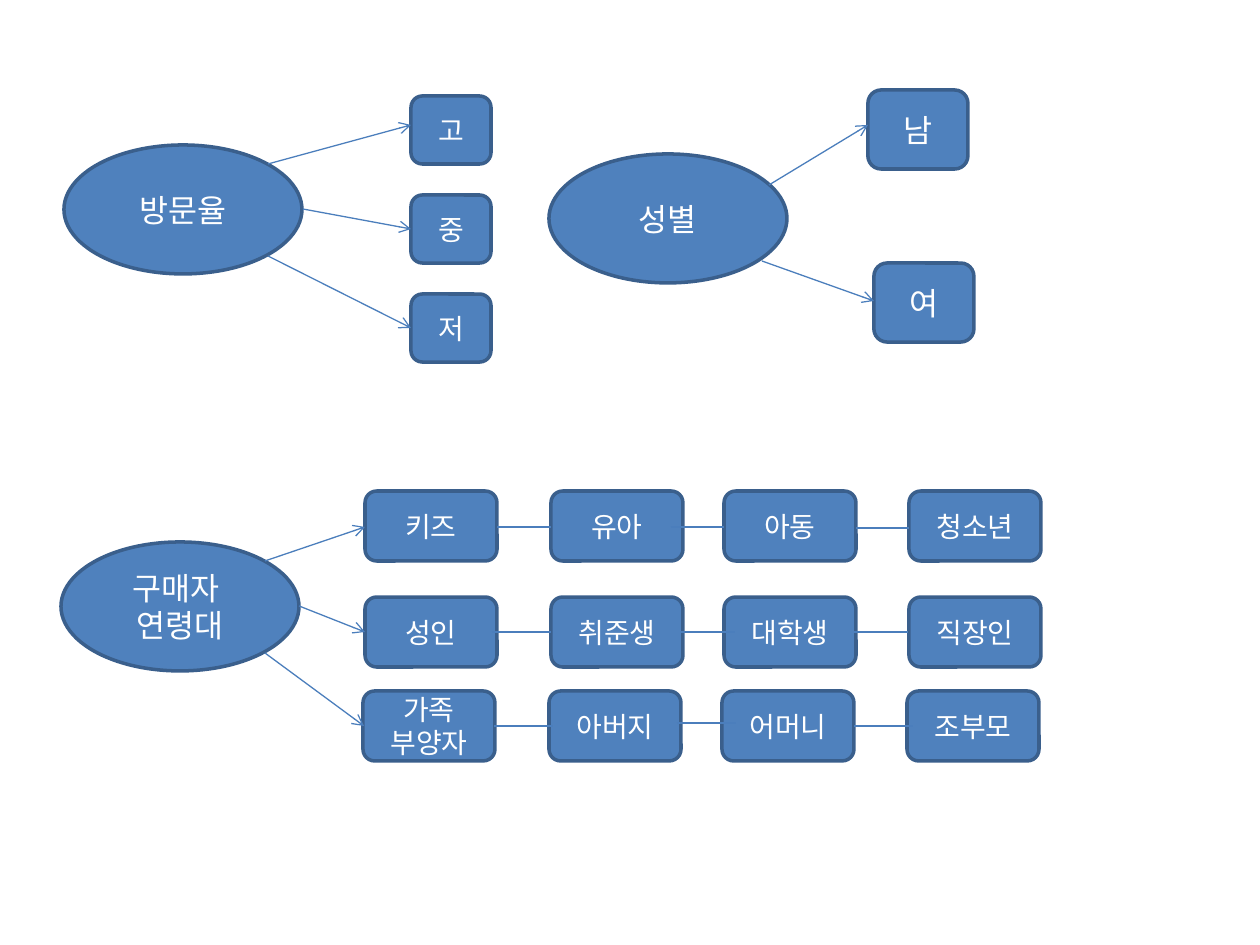
from dataclasses import dataclass
from itertools import product

from lxml.etree import SubElement
from pptx import Presentation
from pptx.dml.color import RGBColor
from pptx.enum.shapes import MSO_CONNECTOR as CONN, MSO_SHAPE as SHAPE
from pptx.enum.text import MSO_ANCHOR as ANCHOR, PP_ALIGN as ALIGN
from pptx.oxml.ns import qn
from pptx.util import Emu, Inches, Pt

SCALE = Inches(1) // 126


@dataclass(frozen=True)
class Theme:
    font: str = "Noto Sans CJK KR"
    fill: RGBColor = RGBColor(0x4F, 0x81, 0xBD)
    border: RGBColor = RGBColor(0x3A, 0x5F, 0x8C)
    link: RGBColor = RGBColor(0x4B, 0x7E, 0xBC)
    text: RGBColor = RGBColor(0xFF, 0xFF, 0xFF)
    large: int = 18
    small: int = 16
    border_width: float = 2
    link_width: float = 0.75


@dataclass(frozen=True)
class Node:
    text: str
    x: int
    y: int
    w: int
    h: int
    size: int
    kind: SHAPE = SHAPE.ROUNDED_RECTANGLE


@dataclass(frozen=True)
class Link:
    x1: int
    y1: int
    x2: int
    y2: int
    arrow: bool = False


THEME = Theme()


def px(n: int) -> Emu:
    return Emu(n * SCALE)


def topic(text: str, x: int, y: int) -> Node:
    return Node(text, x, y, 238, 129, THEME.large, SHAPE.OVAL)


def add_node(shapes, node: Node) -> None:
    s = shapes.add_shape(node.kind, px(node.x), px(node.y), px(node.w), px(node.h))
    s.shadow.inherit = False
    s.fill.solid()
    s.fill.fore_color.rgb = THEME.fill
    s.line.color.rgb = THEME.border
    s.line.width = Pt(THEME.border_width)
    tf = s.text_frame
    tf.word_wrap = True
    tf.vertical_anchor = ANCHOR.MIDDLE
    tf.text = node.text
    for p in tf.paragraphs:
        p.alignment = ALIGN.CENTER
        p.font.name = THEME.font
        p.font.size = Pt(node.size)
        p.font.color.rgb = THEME.text
        props = p._p.pPr.find(qn("a:defRPr"))
        SubElement(props, qn("a:ea"), typeface=THEME.font)


def add_link(shapes, link: Link) -> None:
    c = shapes.add_connector(
        CONN.STRAIGHT, px(link.x1), px(link.y1), px(link.x2), px(link.y2)
    )
    c.line.color.rgb = THEME.link
    c.line.width = Pt(THEME.link_width)
    if link.arrow:
        SubElement(c.line._ln, qn("a:tailEnd"), type="arrow")
    SubElement(c._element.spPr, qn("a:effectLst"))


TOPICS = [
    topic("방문율", 64, 145),
    topic("구매자 \n연령대", 61, 542),
    topic("성별", 549, 154),
]
VISIT_LEVELS = [
    Node(text, 411, 96 + 99 * i, 80, 68, THEME.small)
    for i, text in enumerate(["고", "중", "저"])
]
GENDERS = [
    Node("남", 868, 90, 100, 79, THEME.large),
    Node("여", 874, 263, 100, 79, THEME.large),
]
AGE_GROUPS = [
    ["키즈", "유아", "아동", "청소년"],
    ["성인", "취준생", "대학생", "직장인"],
    ["가족\n부양자", "아버지", "어머니", "조부모"],
]
AGE_COLUMNS = [365, 551, 724, 909]
AGE_ROWS = [(0, 491), (0, 597), (-2, 691)]
AGES = [
    Node(AGE_GROUPS[row][col], AGE_COLUMNS[col] + AGE_ROWS[row][0],
         AGE_ROWS[row][1], 132, 70, THEME.small)
    for row, col in product(range(3), range(4))
]
ARROWS = [
    Link(*ends, arrow=True)
    for ends in [
        (268, 164, 411, 125),
        (303, 209, 411, 229),
        (268, 256, 411, 328),
        (265, 561, 365, 527),
        (299, 606, 365, 632),
        (265, 653, 364, 726),
        (769, 185, 868, 125),
        (762, 261, 874, 301),
    ]
]
AGE_LINKS = [
    Link(x1, y, x2, y)
    for x1, x2, y in [
        (497, 551, 527), (671, 724, 527), (856, 909, 528),
        (492, 551, 632), (681, 735, 632), (854, 908, 632),
        (494, 553, 726), (677, 736, 723), (854, 913, 726),
    ]
]

prs = Presentation()
prs.slide_width, prs.slide_height = Inches(10), Inches(7.5)
shapes = prs.slides.add_slide(prs.slide_layouts[6]).shapes
for node in TOPICS + VISIT_LEVELS + GENDERS + AGES:
    add_node(shapes, node)
for link in ARROWS + AGE_LINKS:
    add_link(shapes, link)
prs.save("out.pptx")
